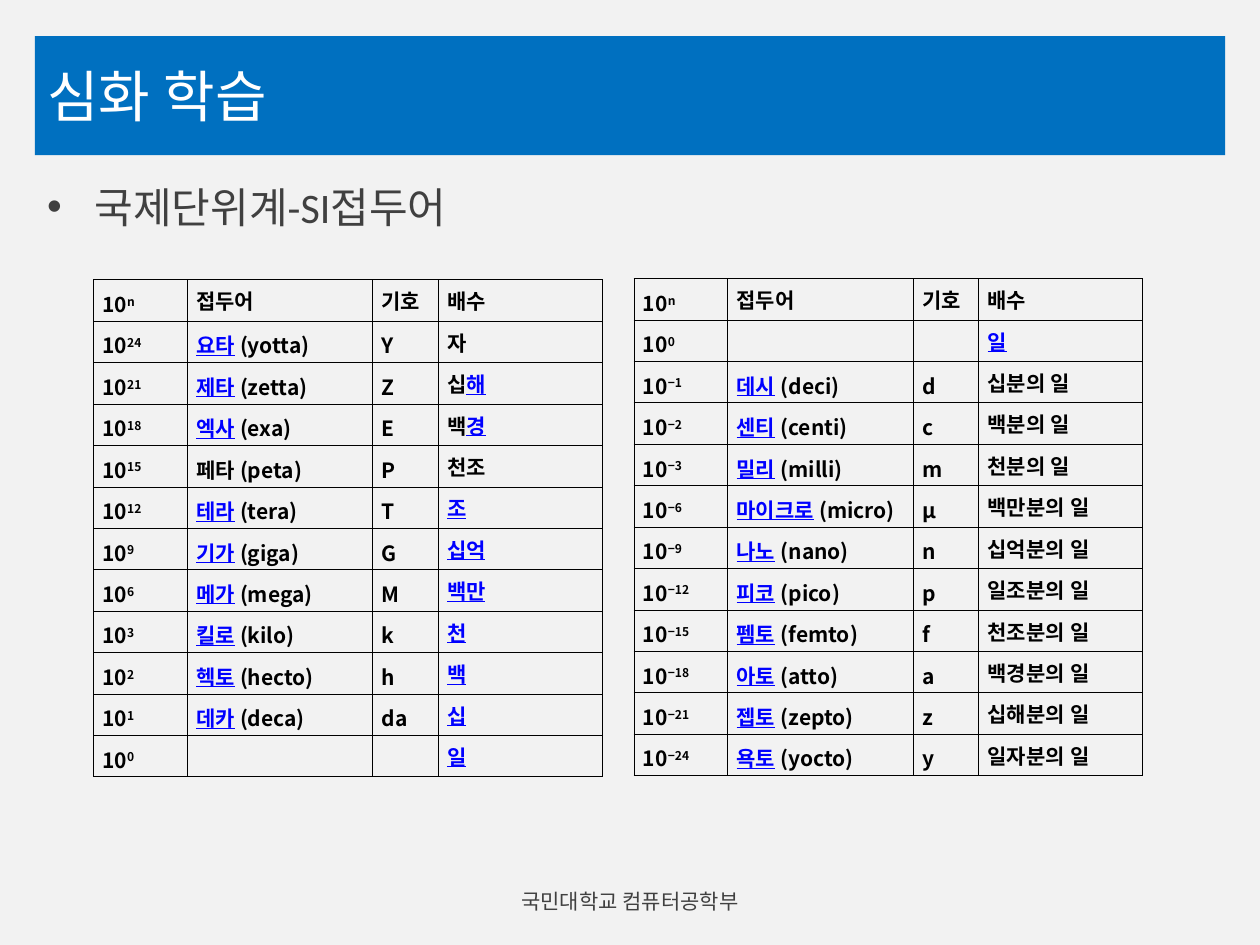
from lxml import etree
from pptx import Presentation
from pptx import util as u
from pptx.dml.color import RGBColor
from pptx.enum import shapes, text
from pptx.oxml.ns import qn

TITLE = "심화 학습"
TOPIC = "국제단위계-SI접두어"
FOOTER = "국민대학교 컴퓨터공학부"

# Exponent of ten, prefix, symbol, multiple; [brackets] mark underlined terms.
HEADER = ("n", "접두어", "기호", "배수")
LARGE_PREFIXES = [
    HEADER,
    ("24", "[요타] (yotta)", "Y", "자"),
    ("21", "[제타] (zetta)", "Z", "십[해]"),
    ("18", "[엑사] (exa)", "E", "백[경]"),
    ("15", "페타 (peta)", "P", "천조"),
    ("12", "[테라] (tera)", "T", "[조]"),
    ("9", "[기가] (giga)", "G", "[십억]"),
    ("6", "[메가] (mega)", "M", "[백만]"),
    ("3", "[킬로] (kilo)", "k", "[천]"),
    ("2", "[헥토] (hecto)", "h", "[백]"),
    ("1", "[데카] (deca)", "da", "[십]"),
    ("0", "", "", "[일]"),
]
SMALL_PREFIXES = [
    HEADER,
    ("0", "", "", "[일]"),
    ("−1", "[데시] (deci)", "d", "십분의 일"),
    ("−2", "[센티] (centi)", "c", "백분의 일"),
    ("−3", "[밀리] (milli)", "m", "천분의 일"),
    ("−6", "[마이크로] (micro)", "µ", "백만분의 일"),
    ("−9", "[나노] (nano)", "n", "십억분의 일"),
    ("−12", "[피코] (pico)", "p", "일조분의 일"),
    ("−15", "[펨토] (femto)", "f", "천조분의 일"),
    ("−18", "[아토] (atto)", "a", "백경분의 일"),
    ("−21", "[젭토] (zepto)", "z", "십해분의 일"),
    ("−24", "[욕토] (yocto)", "y", "일자분의 일"),
]
TABLES = [(362.2, 159.1, SMALL_PREFIXES), (53.3, 159.8, LARGE_PREFIXES)]
COLUMN_WIDTHS = (53.6, 106, 37.4, 93.8)
ROW_HEIGHT = 23.67

SLIDE_WIDTH, SLIDE_HEIGHT = 720, 540
MARGIN, CONTENT_WIDTH = 19.9, 680.2
TABLE_FONT, MAIN_FONT, BODY_FONT = "Noto Sans CJK KR", "Karla", "Calibri"
BLACK, LINK, GREY = "000000", "0000FF", "404040"


def color(value):
    return RGBColor.from_string(value)


def add_span(para, words, size, font, ink, asian_font=MAIN_FONT):
    span = para.add_run()
    span.text = words
    span.font.size = u.Pt(size)
    span.font.name = font
    span.font.color.rgb = color(ink)
    etree.SubElement(span.font._element, qn("a:ea"), typeface=asian_font)
    return span


def add_rectangle(slide, left, top, width, height, fill):
    box = slide.shapes.add_shape(shapes.MSO_SHAPE.RECTANGLE,
                                 *map(u.Pt, (left, top, width, height)))
    box.shadow.inherit = False
    box.fill.solid()
    box.fill.fore_color.rgb = color(fill)
    box.line.fill.background()
    return box


def add_text_box(slide, left, top, width, height):
    box = slide.shapes.add_textbox(*map(u.Pt, (left, top, width, height)))
    box.text_frame.word_wrap = True
    return box


def add_bullet(para, indent):
    properties = para._p.get_or_add_pPr()
    properties.set("marL", str(u.Pt(indent)))
    properties.set("indent", str(-u.Pt(indent)))
    etree.SubElement(properties, qn("a:buFont"), typeface="Arial")
    etree.SubElement(properties, qn("a:buChar"), char="•")


def add_borders(cell, width, ink):
    properties = cell._tc.get_or_add_tcPr()
    for position, side in enumerate(("lnL", "lnR", "lnT", "lnB")):
        line = etree.Element(qn(f"a:{side}"), w=str(u.Pt(width)))
        fill = etree.SubElement(line, qn("a:solidFill"))
        etree.SubElement(fill, qn("a:srgbClr"), val=ink)
        properties.insert(position, line)


def add_table_span(para, words, ink=BLACK):
    span = add_span(para, words, 12, TABLE_FONT, ink)
    span.font.bold = True
    return span


def write_power(para, exponent):
    add_table_span(para, "10")
    add_table_span(para, exponent).font._element.set("baseline", "30000")


def write_terms(para, marked):
    """Write the words, underlining those in brackets."""
    for index, words in enumerate(marked.replace("]", "[").split("[")):
        if words:
            linked = index % 2 == 1
            span = add_table_span(para, words, LINK if linked else BLACK)
            span.font.underline = linked


def add_prefix_table(slide, left, top, rows):
    frame = slide.shapes.add_table(
        len(rows), len(COLUMN_WIDTHS), u.Pt(left), u.Pt(top),
        u.Pt(sum(COLUMN_WIDTHS)), u.Pt(ROW_HEIGHT * len(rows)))
    table = frame.table
    table.first_row = table.horz_banding = False
    for column, width in zip(table.columns, COLUMN_WIDTHS):
        column.width = u.Pt(width)
    for row, values in zip(table.rows, rows):
        row.height = u.Pt(ROW_HEIGHT)
        for index, (cell, value) in enumerate(zip(row.cells, values)):
            cell.fill.background()
            add_borders(cell, 0.28, BLACK)
            cell.vertical_anchor = text.MSO_ANCHOR.MIDDLE
            cell.margin_left = cell.margin_right = u.Pt(5.2)
            cell.margin_top = cell.margin_bottom = u.Pt(1.4)
            para = cell.text_frame.paragraphs[0]
            para.line_spacing = 1.2
            para.font.size = u.Pt(12)
            write = write_power if index == 0 else write_terms
            write(para, value)


def main():
    deck = Presentation()
    deck.slide_width, deck.slide_height = u.Pt(SLIDE_WIDTH), u.Pt(SLIDE_HEIGHT)
    slide = deck.slides.add_slide(deck.slide_layouts[6])

    add_rectangle(slide, 0, 0, SLIDE_WIDTH, SLIDE_HEIGHT, "F2F2F2")

    banner = add_rectangle(slide, MARGIN, 20.6, CONTENT_WIDTH, 68, "0070C0")
    banner.text_frame.vertical_anchor = text.MSO_ANCHOR.MIDDLE
    para = banner.text_frame.paragraphs[0]
    para.alignment = text.PP_ALIGN.LEFT
    add_span(para, TITLE, 32, MAIN_FONT, "FFFFFF")

    body = add_text_box(slide, MARGIN, 100, CONTENT_WIDTH, 380)
    para = body.text_frame.paragraphs[0]
    para.space_before = u.Pt(4.8)
    add_bullet(para, 27)
    add_span(para, TOPIC, 24, BODY_FONT, GREY, BODY_FONT)

    footer = add_text_box(slide, 224, 500.5, 272, 28.8)
    footer.text_frame.vertical_anchor = text.MSO_ANCHOR.MIDDLE
    para = footer.text_frame.paragraphs[0]
    para.alignment = text.PP_ALIGN.CENTER
    add_span(para, FOOTER, 12, MAIN_FONT, GREY)

    for left, top, rows in TABLES:
        add_prefix_table(slide, left, top, rows)

    deck.save("out.pptx")


if __name__ == "__main__":
    main()
